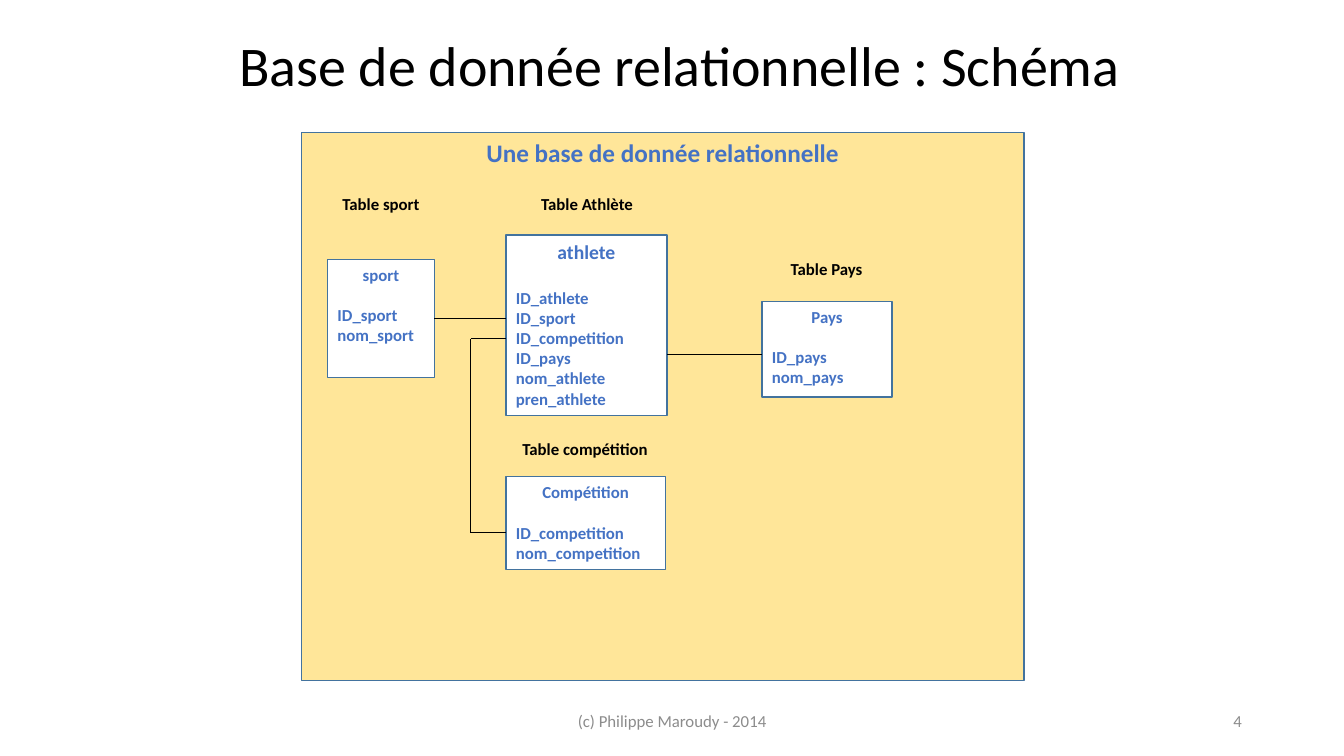
from dataclasses import dataclass

import pptx
import pptx.dml.color
import pptx.enum.shapes
import pptx.enum.text
import pptx.oxml.ns
import pptx.util
from lxml import etree

Pt = pptx.util.Pt
ALIGN = pptx.enum.text.PP_ALIGN
ANCHOR = pptx.enum.text.MSO_ANCHOR

COLORS = {
    "black": "000000",
    "white": "FFFFFF",
    "panel": "FFE699",
    "border": "43739E",
    "text": "4472C4",
    "footer": "8C8C8C",
}


@dataclass
class Label:
    text: str
    left: float
    top: float
    width: float
    height: float
    size: float = 12
    bold: bool = True
    color: str = "black"
    align: int = ALIGN.CENTER
    anchor: int = ANCHOR.TOP


@dataclass
class Box:
    name: str
    left: float
    top: float
    width: float
    height: float
    fields: tuple = ()
    size: float = 12
    gap: float = 14.65
    fill: str = "white"


@dataclass
class Link:
    x1: float
    y1: float
    x2: float
    y2: float
    start: str = ""
    site: int = 0


LABELS = [
    Label("Base de donnée relationnelle : Schéma", 52.6, 18, 865.4, 55.4, 40, False),
    Label("Table Athlète", 372.2, 134.6, 94.3, 21.6),
    Label("Table Pays", 556.6, 181.4, 67.7, 21.6),
    Label("Table sport", 234, 134.6, 76.3, 21.6),
    Label("Table compétition", 363.6, 309.6, 108.7, 21.6),
    Label("(c) Philippe Maroudy - 2014", 318.2, 500.4, 324, 28.8, 12, False,
          "footer", ALIGN.CENTER, ANCHOR.MIDDLE),
    Label("4", 678.2, 500.4, 216, 28.8, 12, False,
          "footer", ALIGN.RIGHT, ANCHOR.MIDDLE),
]

BOXES = [
    Box("Une base de donnée relationnelle", 215.3, 94.5, 516.2, 391.7,
        size=18, gap=0, fill="panel"),
    Box("athlete", 361.4, 167.9, 115, 128.9,
        ("ID_athlete", "ID_sport", "ID_competition", "ID_pays",
         "nom_athlete", "pren_athlete"), 14, 17.1),
    Box("Pays", 544.3, 215.3, 92.9, 68.4, ("ID_pays", "nom_pays")),
    Box("Compétition", 361.4, 340.4, 113.8, 66.2,
        ("ID_competition", "nom_competition")),
    Box("sport", 234, 185.2, 76.3, 84.4, ("ID_sport", "nom_sport")),
]

LINKS = [
    Link(476.4, 252.9, 544.3, 252.9),
    Link(310.3, 227.4, 361.4, 227.4, "sport", 3),
    Link(361.4, 241.9, 336.2, 241.9),
    Link(336.2, 241.9, 336.2, 380.5),
    Link(361.4, 380.5, 336.2, 380.5),
]


def rgb(name: str) -> pptx.dml.color.RGBColor:
    return pptx.dml.color.RGBColor.from_string(COLORS[name])


def format_paragraph(p, size: float, bold: bool, color: str, align: int) -> None:
    p.alignment = align
    for r in p.runs:
        r.font.name = "Calibri"
        r.font.size = Pt(size)
        r.font.bold = bold
        r.font.color.rgb = rgb(color)


def add_label(s, label: Label) -> None:
    sp = s.shapes.add_textbox(Pt(label.left), Pt(label.top),
                              Pt(label.width), Pt(label.height))
    tf = sp.text_frame
    tf.word_wrap = True
    tf.vertical_anchor = label.anchor
    tf.text = label.text
    format_paragraph(tf.paragraphs[0], label.size, label.bold, label.color, label.align)


def add_box(s, box: Box):
    sp = s.shapes.add_shape(pptx.enum.shapes.MSO_SHAPE.RECTANGLE, Pt(box.left),
                            Pt(box.top), Pt(box.width), Pt(box.height))
    sp.shadow.inherit = False
    sp.fill.solid()
    sp.fill.fore_color.rgb = rgb(box.fill)
    sp.line.color.rgb = rgb("border")
    sp.line.width = Pt(1)
    tf = sp.text_frame
    tf.word_wrap = True
    tf.vertical_anchor = ANCHOR.TOP
    tf.text = "\n".join((box.name, *box.fields))
    heading, *fields = tf.paragraphs
    format_paragraph(heading, box.size, True, "text", ALIGN.CENTER)
    heading.space_after = Pt(box.gap)
    for p in fields:
        format_paragraph(p, 12, True, "text", ALIGN.LEFT)
    return sp


def add_link(s, link: Link, boxes: dict) -> None:
    c = s.shapes.add_connector(pptx.enum.shapes.MSO_CONNECTOR.STRAIGHT, Pt(link.x1),
                               Pt(link.y1), Pt(link.x2), Pt(link.y2))
    c.line.color.rgb = rgb("black")
    c.line.width = Pt(0.5)
    etree.SubElement(c._element.spPr, pptx.oxml.ns.qn("a:effectLst"))
    if link.start:
        c.begin_connect(boxes[link.start], link.site)


def main() -> None:
    prs = pptx.Presentation()
    prs.slide_width, prs.slide_height = Pt(960), Pt(540)
    s = prs.slides.add_slide(prs.slide_layouts[6])
    boxes = {box.name: add_box(s, box) for box in BOXES}
    for label in LABELS:
        add_label(s, label)
    for link in LINKS:
        add_link(s, link, boxes)
    prs.save("out.pptx")


if __name__ == "__main__":
    main()
